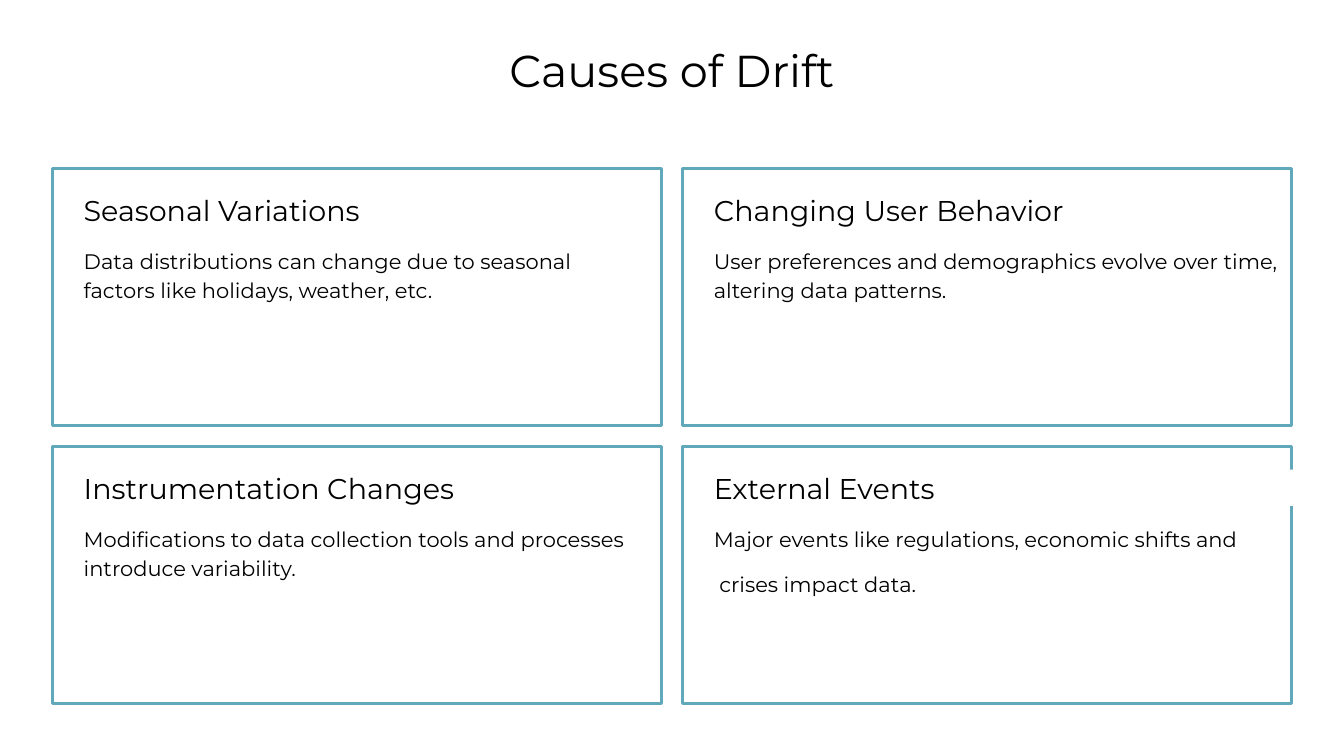
from dataclasses import dataclass

from pptx import Presentation
from pptx import util as u
from pptx.dml.color import RGBColor
from pptx.enum import shapes, text


@dataclass(frozen=True)
class Theme:
    font: str = "Montserrat"
    ink: RGBColor = RGBColor(0x00, 0x00, 0x00)
    paper: RGBColor = RGBColor(0xFF, 0xFF, 0xFF)
    border: RGBColor = RGBColor(0x62, 0xA8, 0xBB)
    border_width: float = 2
    # Type size and line spacing, in points
    title: tuple = (31.9, 40.2)
    heading: tuple = (20.4, 25.7)
    body: tuple = (15, 21)
    paragraph_gap: float = 11.2


class SlideBuilder:
    def __init__(self, slide, theme):
        self.slide = slide
        self.theme = theme

    def set_text(self, shape, paragraphs, style, align=text.PP_ALIGN.LEFT):
        size, spacing = style
        frame = shape.text_frame
        frame.word_wrap = True
        frame.auto_size = text.MSO_AUTO_SIZE.NONE
        frame.vertical_anchor = text.MSO_ANCHOR.TOP
        frame.margin_left = frame.margin_right = 0
        frame.margin_top = frame.margin_bottom = 0
        for index, words in enumerate(paragraphs):
            paragraph = frame.add_paragraph() if index else frame.paragraphs[0]
            paragraph.alignment = align
            paragraph.line_spacing = u.Pt(spacing)
            paragraph.space_before = u.Pt(self.theme.paragraph_gap if index else 0)
            run = paragraph.add_run()
            run.text = words
            run.font.name = self.theme.font
            run.font.size = u.Pt(size)
            run.font.color.rgb = self.theme.ink

    def title(self, words, left, top, width, height):
        title = self.slide.shapes.title
        title.left, title.top = u.Inches(left), u.Inches(top)
        title.width, title.height = u.Inches(width), u.Inches(height)
        self.set_text(title, [words], self.theme.title, text.PP_ALIGN.CENTER)

    def frame(self, left, top, width, height):
        card = self.slide.shapes.add_shape(
            shapes.MSO_SHAPE.RECTANGLE,
            u.Inches(left), u.Inches(top), u.Inches(width), u.Inches(height))
        card.shadow.inherit = False
        card.fill.background()
        card.line.color.rgb = self.theme.border
        card.line.width = u.Pt(self.theme.border_width)

    def text_box(self, paragraphs, style, left, top, width, height, filled=False):
        box = self.slide.shapes.add_textbox(
            u.Inches(left), u.Inches(top), u.Inches(width), u.Inches(height))
        if filled:
            box.fill.solid()
            box.fill.fore_color.rgb = self.theme.paper
        self.set_text(box, paragraphs, style)


# Card grid, in inches
LEFT, TOP = 0.52, 1.67
CARD_WIDTH, CARD_HEIGHT = 6.04, 2.55
GAP = 0.21
INDENT, HEADING_DROP, BODY_DROP = 0.31, 0.23, 0.75
HEADING_WIDTH, HEADING_HEIGHT = 6.07, 0.36

# Heading, body paragraphs, body width, body height, heading filled
CAUSES = [
    ("Seasonal Variations",
     ["Data distributions can change due to seasonal factors like holidays, weather, etc."],
     5.59, 0.58, False),
    ("Changing User Behavior",
     ["User preferences and demographics evolve over time, altering data patterns."],
     6.07, 0.58, False),
    ("Instrumentation Changes",
     ["Modifications to data collection tools and processes introduce variability."],
     6.07, 0.58, False),
    ("External Events",
     ["Major events like regulations, economic shifts and", " crises impact data."],
     5.42, 0.7, True),
]


def main():
    theme = Theme()
    deck = Presentation()
    deck.slide_width, deck.slide_height = u.Inches(13.33), u.Inches(7.5)
    slide = deck.slides.add_slide(deck.slide_layouts[5])
    slide.background.fill.solid()
    slide.background.fill.fore_color.rgb = theme.paper
    builder = SlideBuilder(slide, theme)

    # Title
    builder.title("Causes of Drift", 0, 0.4, 13.33, 0.56)

    # Two by two grid of causes
    for index, (heading, body, body_width, body_height, filled) in enumerate(CAUSES):
        row, column = divmod(index, 2)
        left = LEFT + column * (CARD_WIDTH + GAP)
        top = TOP + row * (CARD_HEIGHT + GAP)
        builder.frame(left, top, CARD_WIDTH, CARD_HEIGHT)
        builder.text_box([heading], theme.heading, left + INDENT, top + HEADING_DROP,
                         HEADING_WIDTH, HEADING_HEIGHT, filled)
        builder.text_box(body, theme.body, left + INDENT, top + BODY_DROP,
                         body_width, body_height)

    deck.save("out.pptx")


if __name__ == "__main__":
    main()
